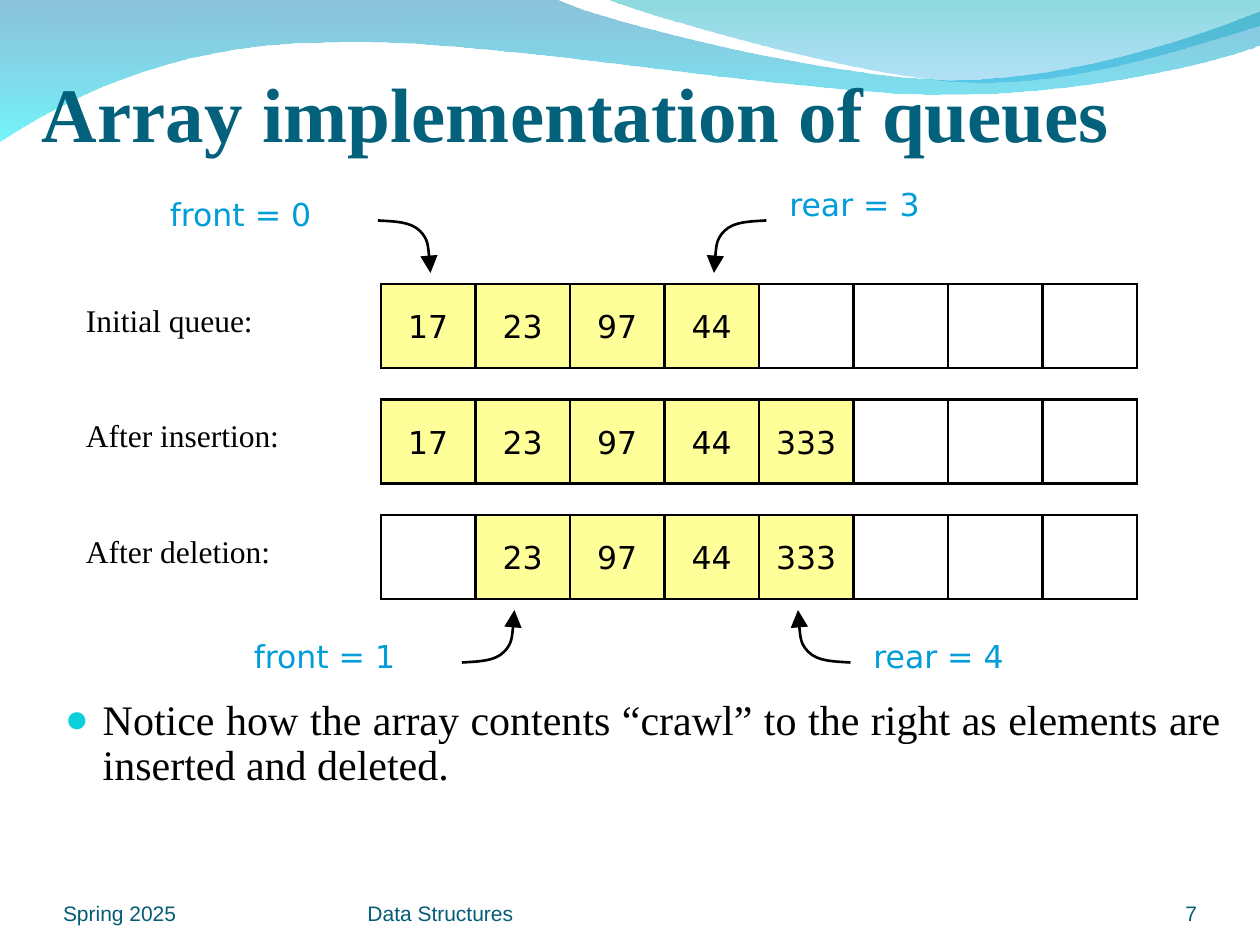
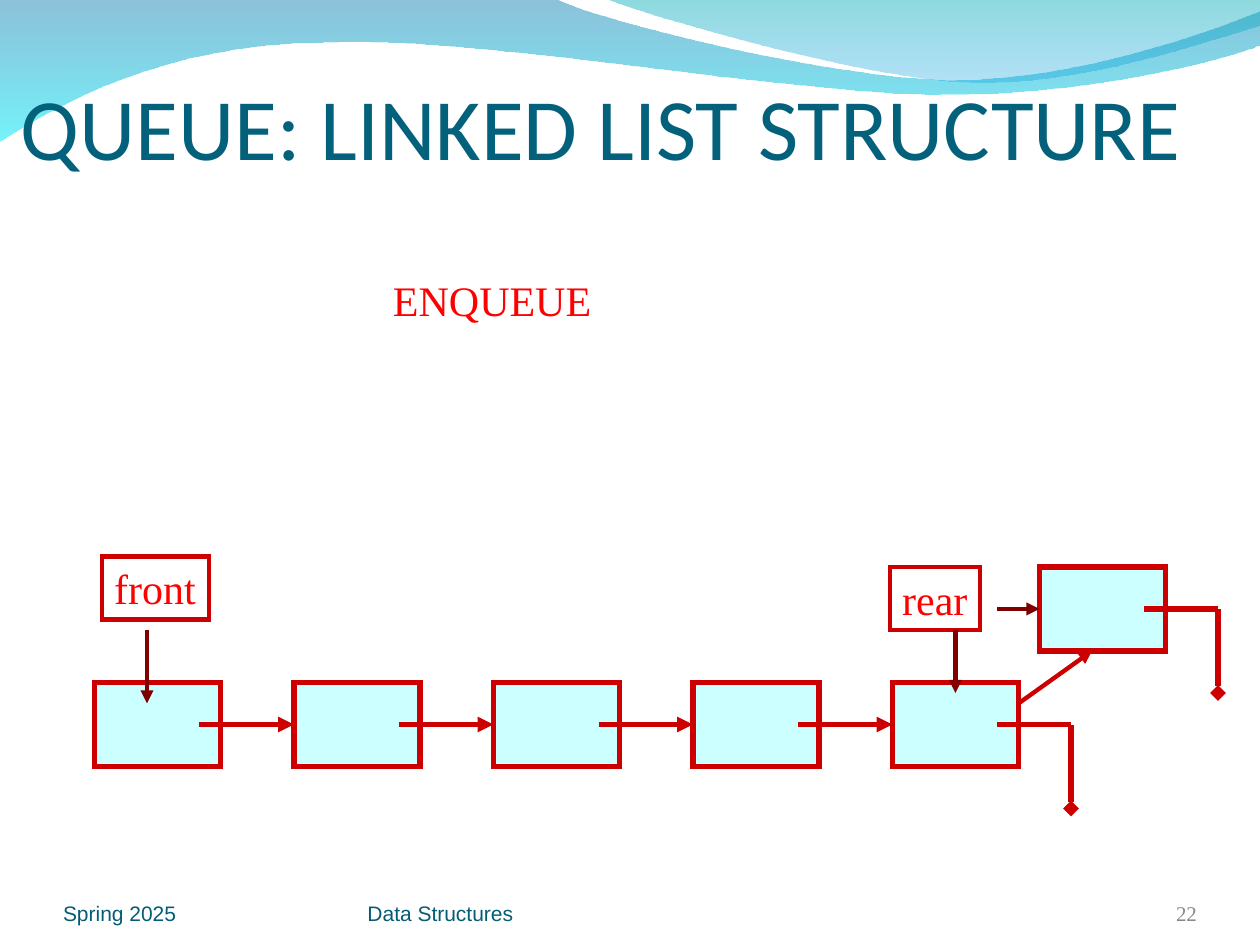
from dataclasses import dataclass
from typing import NamedTuple

from lxml.etree import SubElement as Sub
from pptx import Presentation
from pptx.dml.color import RGBColor
from pptx.enum.shapes import MSO_CONNECTOR as Wire, MSO_SHAPE as Form
from pptx.enum.text import MSO_ANCHOR as Anchor, MSO_AUTO_SIZE as Fit, PP_ALIGN as Align
from pptx.oxml.ns import qn
from pptx.util import Inches, Pt

COLS, ROWS = 120, 90
WIDE, HIGH = Inches(10), Inches(7.5)


class Ink(NamedTuple):
    name: str
    size: float
    color: str
    bold: bool = False


@dataclass(frozen=True)
class Theme:
    head: Ink = Ink("Times New Roman", 44, "04617B", True)
    caps: Ink = Ink("Calibri", 50, "04617B")
    body: Ink = Ink("Times New Roman", 24, "000000")
    label: Ink = Ink("Times New Roman", 18, "000000")
    digit: Ink = Ink("DejaVu Sans", 18, "000000")
    index: Ink = Ink("DejaVu Sans", 18, "009DD9")
    tag: Ink = Ink("Times New Roman", 24, "FF0000")
    foot: Ink = Ink("Arial", 12, "045C75")
    page: Ink = Ink("Times New Roman", 12, "898989")
    bullet: str = "0BD0D9"
    edge: str = "000000"
    full: str = "FFFF99"
    node: str = "CCFFFF"
    link: str = "CC0000"
    mark: str = "800000"
    wave: tuple = (("0079AF", 45), ("00EBF8", 55))
    crest: tuple = (("00ADB6", 45), ("009BE5", 30))


THEME = Theme()
WAVE = [
    [(0, 0)], [(53.1, 0)],
    [(57.1, 2), (79.7, 7.6), (91, 7.6)],
    [(102.4, 7.6), (115, 3.1), (120, 1.1)], [(120, 4.3)],
    [(118, 5.3), (104.4, 9.1), (89.5, 9)],
    [(74.6, 9), (45.8, 3.4), (30.8, 4.1)],
    [(15.5, 4.2), (5.5, 10), (0, 13.5)],
]
CREST = [
    [(57.9, 0)],
    [(61, 1.3), (81.8, 7.4), (92.3, 7.8)],
    [(102.7, 8.3), (115.3, 3.8), (120, 2.5)], [(120, 0)],
]
HOOK = [[(0, 0)], [(1.6, 0.1), (3.1, 0.1), (4, 1)], [(4.8, 1.8), (4.9, 3.4), (5, 5)]]


def across(cols):
    return round(cols * WIDE / COLS)


def down(rows):
    return round(rows * HIGH / ROWS)


def place(left, top, width, height):
    return across(left), down(top), across(width), down(height)


def tint(code):
    return RGBColor.from_string(code)


def style(thing, **values):
    for key, value in values.items():
        setattr(thing, key, value)


def write(shape, words, ink, align=Align.LEFT, anchor=Anchor.TOP,
          inset=(0.1, 0.05, 0.1, 0.05), wrap=True, fit=Fit.NONE):
    frame = shape.text_frame
    left, top, right, base = map(Inches, inset)
    style(frame, word_wrap=wrap, auto_size=fit, vertical_anchor=anchor,
          margin_left=left, margin_top=top, margin_right=right, margin_bottom=base)
    para = frame.paragraphs[0]
    para.alignment = align
    run = para.add_run()
    run.text = words
    style(run.font, name=ink.name, size=Pt(ink.size), bold=ink.bold)
    run.font.color.rgb = tint(ink.color)
    return para


def text(slide, spot, words, ink, **more):
    return write(slide.shapes.add_textbox(*place(*spot)), words, ink, **more)


def stroke(line, color, width, tip=None, size="med"):
    line.width = Pt(width)
    line.color.rgb = tint(color)
    edge = line._get_or_add_ln()
    Sub(edge, qn("a:miter"), lim="800000")
    if tip:
        Sub(edge, qn("a:tailEnd"), type=tip, w=size, len=size)


def box(slide, spot, color, width, fill=None):
    shape = slide.shapes.add_shape(Form.RECTANGLE, *place(*spot))
    shape.shadow.inherit = False
    if fill:
        shape.fill.solid()
        shape.fill.fore_color.rgb = tint(fill)
    else:
        shape.fill.background()
    stroke(shape.line, color, width)
    return shape


def wire(slide, start, end, color, width, tip=None, goal=None):
    line = slide.shapes.add_connector(
        Wire.STRAIGHT, across(start[0]), down(start[1]), across(end[0]), down(end[1]))
    if goal:
        line.end_connect(goal, 1)
    stroke(line.line, color, width, tip)
    Sub(line._element.spPr, qn("a:effectLst"))


def curve(shape, parts):
    steps = iter(list(shape._element.iter(qn("a:lnTo"))))
    for part in parts:
        first, *rest = [next(steps) for _ in part]
        if rest:
            first.tag = qn("a:cubicBezTo")
        for step in rest:
            first.append(step[0])
            step.getparent().remove(step)


def trace(slide, route, close, left=0, top=0, flip=(1, 1)):
    spots = [(across(left + x * flip[0]), down(top + y * flip[1]))
             for part in route for x, y in part]
    pen = slide.shapes.build_freeform(*spots[0])
    pen.add_line_segments(spots[1:], close=close)
    shape = pen.convert_to_shape()
    shape.shadow.inherit = False
    bend(shape, route[1:])
    return shape


def bend(shape, parts):
    steps = iter(list(shape._element.iter(qn("a:lnTo"))))
    for part in parts:
        group = [next(steps) for _ in part]
        if len(group) == 1:
            continue
        outline = group[0].getparent()
        arc = outline.makeelement(qn("a:cubicBezTo"))
        group[0].addprevious(arc)
        for step in group:
            arc.append(step[0])
            outline.remove(step)


def band(slide, route, stops):
    shape = trace(slide, route, True)
    shape.line.fill.background()
    shape.fill.gradient()
    shape.fill.gradient_angle = 270
    for stop, (color, _) in zip(shape.fill.gradient_stops, stops):
        stop.color.rgb = tint(color)
    for node, (_, share) in zip(shape._element.iter(qn("a:srgbClr")), stops):
        Sub(node, qn("a:alpha"), val=str(share * 1000))


def hook(slide, left, top, *flip):
    shape = trace(slide, HOOK, False, left, top, flip)
    shape.fill.background()
    stroke(shape.line, THEME.edge, 1.5, "triangle", "lg")


def base(deck, title, spot, ink, align, page, page_ink):
    slide = deck.slides.add_slide(deck.slide_layouts[6])
    band(slide, WAVE, THEME.wave)
    band(slide, CREST, THEME.crest)
    text(slide, spot, title, ink, align=align, anchor=Anchor.BOTTOM,
         inset=(0, 0.05, 0, 0))
    for left, width, words, pen, side in (
            (6, 28, "Spring 2025", THEME.foot, Align.LEFT),
            (35, 44, "Data Structures", THEME.foot, Align.LEFT),
            (104, 10, page, page_ink, Align.RIGHT)):
        text(slide, (left, 83.4, width, 4.8), words, pen, align=side,
             anchor=Anchor.BOTTOM, inset=(0, 0, 0, 0))
    return slide


def point(slide, spot, words):
    para = text(slide, spot, words, THEME.body, align=Align.JUSTIFY)
    para.line_spacing = 0.9
    props = para._p.get_or_add_pPr()
    props.set("marL", str(Inches(0.3)))
    props.set("indent", str(Inches(-0.3)))
    Sub(Sub(props, qn("a:buClr")), qn("a:srgbClr"), val=THEME.bullet)
    Sub(props, qn("a:buSzPct"), val="95000")
    Sub(props, qn("a:buFont"), typeface=THEME.body.name)
    Sub(props, qn("a:buChar"), char="●")


def queue(slide, top, label, cells):
    for col, value in enumerate(cells):
        cell = box(slide, (36.28 + 9 * col, top, 9, 8), THEME.edge, 1.5,
                   THEME.full if value else None)
        if value:
            write(cell, value, THEME.digit, align=Align.CENTER,
                  anchor=Anchor.MIDDLE, wrap=False)
    text(slide, (7, top + 1, 27, 4.8), label, THEME.label)


def node(slide, left, top):
    return box(slide, (left, top, 12, 8), THEME.link, 3, THEME.node)


def tail(slide, left, top, reach):
    turn = (left + reach, top + 4)
    wire(slide, (left + 10, top + 4), turn, THEME.link, 3)
    wire(slide, turn, (left + reach, top + 12), THEME.link, 3, "diamond")


def array(deck):
    slide = base(deck, "Array implementation of queues", (4, 5.4, 114.2, 9.6),
                 THEME.head, Align.JUSTIFY, "7", THEME.foot)
    point(slide, (5, 66, 112.5, 12.5),
          "Notice how the array contents “crawl” to the right as elements are "
          "inserted and deleted.")
    rows = (
        ("Initial queue:", ("17", "23", "97", "44", "", "", "", "")),
        ("After insertion:", ("17", "23", "97", "44", "333", "", "", "")),
        ("After deletion:", ("", "23", "97", "44", "333", "", "", "")),
    )
    for row, (label, cells) in enumerate(rows):
        queue(slide, 27.06 + 11 * row, label, cells)
    for words, left, top, *turn in (
            ("front = 0", 15, 18, 36, 21, 1, 1),
            ("rear = 3", 74, 17, 73, 21, -1, 1),
            ("front = 1", 23, 60.1, 44, 63.1, 1, -1),
            ("rear = 4", 82, 60.1, 81, 63.1, -1, -1)):
        text(slide, (left, top, 22, 4.8), words, THEME.index)
        hook(slide, *turn)


def linked(deck):
    slide = base(deck, "QUEUE: LINKED LIST STRUCTURE", (2, 2, 112, 15),
                 THEME.caps, Align.LEFT, "22", THEME.page)
    text(slide, (36.25, 25.6, 21.4, 6), "ENQUEUE", THEME.tag,
         wrap=False, fit=Fit.SHAPE_TO_FIT_TEXT)
    lefts = [9 + 19 * spot for spot in range(5)]
    nodes = [node(slide, left, 65) for left in lefts]
    for left, goal in zip(lefts, nodes[1:]):
        wire(slide, (left + 10, 69), (left + 19, 69), THEME.link, 3,
             "triangle", goal)
    tail(slide, lefts[-1], 65, 17)
    fresh = node(slide, 99, 54)
    tail(slide, 99, 54, 17)
    for words, *spot in (("front", 9.7, 53, 10.2, 6), ("rear", 84.75, 54, 8.6, 6)):
        write(box(slide, spot, THEME.link, 2.5), words, THEME.tag,
              wrap=False, fit=Fit.SHAPE_TO_FIT_TEXT)
    for start, end, color, goal in (
            ((14, 60), (14, 67), THEME.mark, None),
            ((91, 60), (91, 66), THEME.mark, None),
            ((97, 67), (104, 62), THEME.link, None),
            ((95, 58), (99, 58), THEME.mark, fresh)):
        wire(slide, start, end, color, 2.5, "triangle", goal)


def main():
    deck = Presentation()
    style(deck, slide_width=WIDE, slide_height=HIGH)
    array(deck)
    linked(deck)
    deck.save("out.pptx")


if __name__ == "__main__":
    main()
